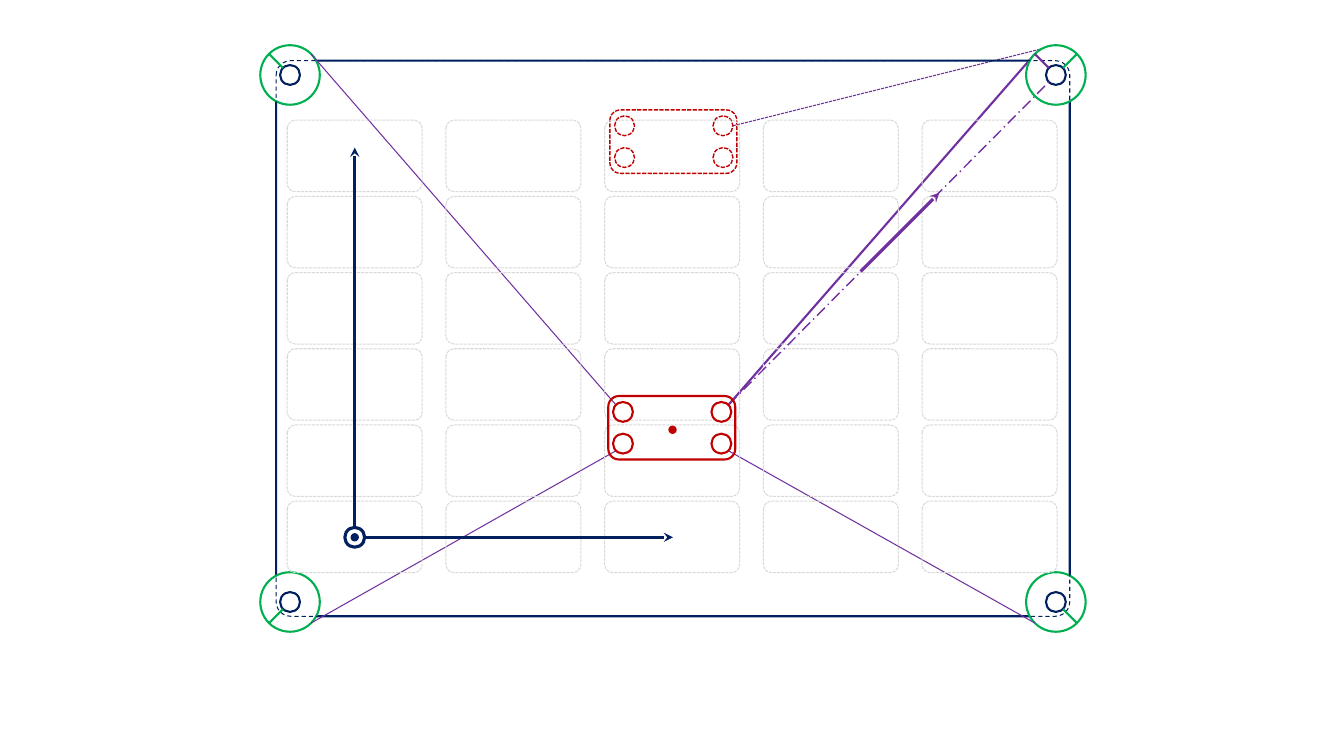
from itertools import product

from lxml.etree import SubElement
from pptx import Presentation
from pptx.dml.color import RGBColor
from pptx.enum.shapes import MSO_CONNECTOR, MSO_SHAPE
from pptx.oxml.ns import qn
from pptx.util import Cm, Pt

COLORS = {"navy": "002060", "green": "00B050", "red": "C00000",
          "purple": "7030A0", "grey": "D9D9D9", "white": "FFFFFF"}
LEFT, RIGHT, TOP, BOTTOM = 7.31, 26.61, 1.89, 15.17
RIM, HUB = 0.53, 0.18
ROBOT = (15.33, 9.98)
GHOST = (15.37, 2.77)
ORIGIN = (8.94, 13.54)


def rgb(name):
    """Return the named palette colour."""
    return RGBColor.from_string(COLORS[name])


def stroke(obj, color, width, dash=None):
    """Set the colour, width and dash of an outline."""
    obj.line.color.rgb = rgb(color)
    obj.line.width = Pt(width)
    if dash:
        SubElement(obj.line._get_or_add_ln(), qn("a:prstDash"), val=dash)


def add_form(shapes, kind, box, color, width, dash=None, fill=None):
    """Draw an outlined preset shape in a box of centimetres."""
    sp = shapes.add_shape(kind, *map(Cm, box))
    sp.shadow.inherit = False
    if fill:
        sp.fill.solid()
        sp.fill.fore_color.rgb = rgb(fill)
    else:
        sp.fill.background()
    stroke(sp, color, width, dash)
    return sp


def add_panel(shapes, box, color, width, dash=None, radius=0.167):
    """Draw a rounded rectangle."""
    sp = add_form(shapes, MSO_SHAPE.ROUNDED_RECTANGLE, box, color, width, dash)
    sp.adjustments[0] = radius


def add_disc(shapes, center, size, color, width, dash=None, fill=None):
    """Draw a circle around its centre."""
    box = (center[0] - size / 2, center[1] - size / 2, size, size)
    add_form(shapes, MSO_SHAPE.OVAL, box, color, width, dash, fill)


def add_line(shapes, start, end, color, width, dash=None, arrow=False):
    """Draw a straight line, with a stealth arrowhead if asked."""
    cx = shapes.add_connector(MSO_CONNECTOR.STRAIGHT, *map(Cm, start + end))
    stroke(cx, color, width, dash)
    if arrow:
        SubElement(cx.line._get_or_add_ln(), qn("a:tailEnd"), type="stealth")
    SubElement(cx._element.spPr, qn("a:effectLst"))


def pulleys(corner):
    """List the four pulley centres of a robot, column by column."""
    return [(corner[0] + x, corner[1] + y)
            for x, y in product((0.37, 2.85), (0.4, 1.2))]


def add_frame(shapes):
    """Draw the field frame with an anchor at each corner."""
    group = shapes.add_group_shape().shapes
    box = (6.96, 1.53, 20, 14)
    add_panel(group, box, "navy", 1.5, radius=0.026)
    for center in product((LEFT, RIGHT), (TOP, BOTTOM)):
        add_disc(group, center, 1.5, "green", 1.5, fill="white")
        add_disc(group, center, 0.5, "navy", 1.5)
    add_panel(group, box, "navy", 0.75, "dash", 0.026)


def add_robot(shapes, corner, width, dash=None, center=None):
    """Draw a robot body with its pulleys and optional centre mark."""
    group = shapes.add_group_shape().shapes
    if center:
        add_disc(group, center, 0.13, "red", 2.25, fill="red")
    for i, pulley in enumerate(pulleys(corner)):
        fill = "white" if center and i == 2 else None
        add_disc(group, pulley, 0.5, "red", width, dash, fill)
    add_panel(group, corner + (3.2, 1.6), "red", width, dash)


def add_cables(shapes):
    """Draw the anchor spokes and the three slack cables."""
    anchors = product((LEFT, RIGHT), (TOP, BOTTOM))
    signs = product((-1, 1), repeat=2)
    for (x, y), (dx, dy), (px, py) in zip(anchors, signs, pulleys(ROBOT)):
        add_line(shapes, (x + dx * HUB, y + dy * HUB),
                 (x + dx * RIM, y + dy * RIM), "green", 1.5)
        if (x, y) != (RIGHT, TOP):
            add_line(shapes, (px + dx * HUB, py + dy * HUB),
                     (x - dx * RIM, y + dy * RIM), "purple", 0.75)


def add_cells(shapes):
    """Draw the grid of field cells."""
    group = shapes.add_group_shape().shapes
    for row, col in product(range(6), range(5)):
        box = (7.24 + 4 * col, 3.03 + 1.92 * row, 3.4, 1.8)
        add_panel(group, box, "grey", 0.75, "sysDash", 0.112)


def add_axes(shapes):
    """Draw the coordinate axes and their origin."""
    for tip in ((16.96, ORIGIN[1]), (ORIGIN[0], 3.72)):
        add_line(shapes, ORIGIN, tip, "navy", 2.25, arrow=True)
    add_disc(shapes, ORIGIN, 0.5, "navy", 2.25, fill="white")
    add_disc(shapes, ORIGIN, 0.13, "navy", 2.25, fill="navy")


def main():
    """Build the cable robot slide."""
    prs = Presentation()
    prs.slide_width, prs.slide_height = Cm(33.87), Cm(19.05)
    s = prs.slides.add_slide(prs.slide_layouts[6]).shapes
    px, py = pulleys(ROBOT)[2]
    gx, gy = pulleys(GHOST)[2]
    rim = (RIGHT - RIM, TOP - RIM)
    add_line(s, (px + HUB, py - HUB), rim, "purple", 1.5)
    add_line(s, (gx + 0.25, gy), (RIGHT, TOP - 0.75), "purple", 0.75, "sysDash")
    add_frame(s)
    add_robot(s, GHOST, 1, "sysDash")
    add_cables(s)
    add_cells(s)
    add_axes(s)
    add_line(s, (px - HUB, py + HUB), (26.49, 2.01), "purple", 1, "lgDashDot")
    add_robot(s, ROBOT, 1.5, center=(16.95, 10.83))
    add_line(s, (RIGHT - HUB, TOP - HUB), rim, "purple", 1.5)
    add_line(s, (21.69, 6.84), (23.67, 4.86), "purple", 2.25, arrow=True)
    prs.save("out.pptx")


if __name__ == "__main__":
    main()
